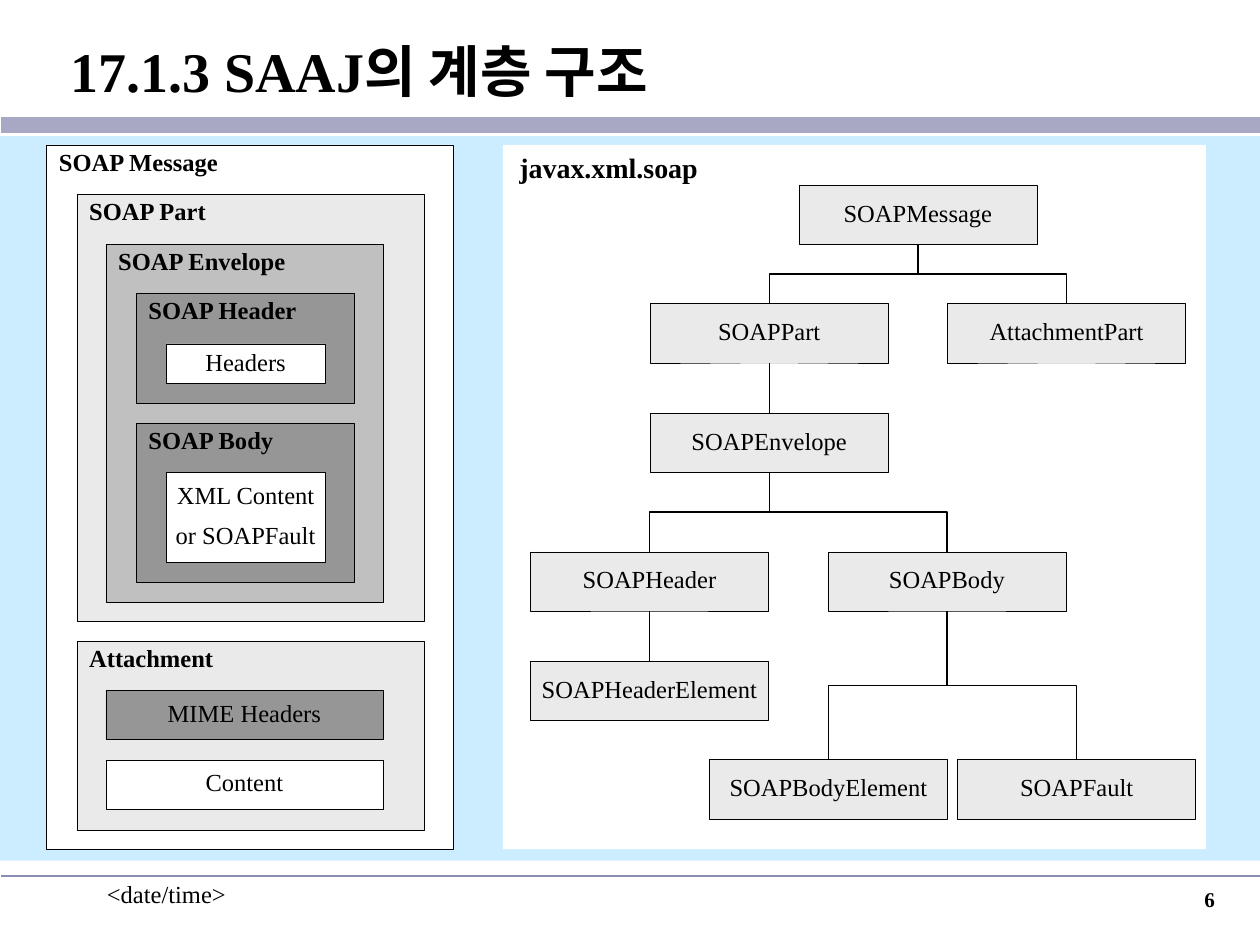
from dataclasses import dataclass

from lxml import etree
from pptx import Presentation
from pptx.dml.color import RGBColor
from pptx.enum.shapes import MSO_CONNECTOR, MSO_SHAPE
from pptx.enum.text import MSO_ANCHOR, PP_ALIGN
from pptx.oxml.ns import qn
from pptx.util import Inches, Pt

RECTANGLE = MSO_SHAPE.RECTANGLE
STRAIGHT, ELBOW = MSO_CONNECTOR.STRAIGHT, MSO_CONNECTOR.ELBOW
LEFT, CENTER, RIGHT = PP_ALIGN.LEFT, PP_ALIGN.CENTER, PP_ALIGN.RIGHT
TOP, MIDDLE = MSO_ANCHOR.TOP, MSO_ANCHOR.MIDDLE
BOTTOM_SITE, TOP_SITE = 2, 0


@dataclass(frozen=True)
class Theme:
    font: str = "Times New Roman"
    ink: str = "000000"
    white: str = "FFFFFF"
    band: str = "CCECFF"
    title_rule: str = "A8A8C4"
    footer_rule: str = "8C8CB2"
    light: str = "EAEAEA"
    medium: str = "C0C0C0"
    dark: str = "969696"
    title_size: float = 32
    package_size: float = 16
    body_size: float = 14
    number_size: float = 12
    line_spacing: float = 0.85
    paragraph_gap: float = 8.8
    outline: float = 0.25
    connector: float = 0.75


THEME = Theme()

CONTAINERS = [
    ("SOAP Message", 0.37, 1.15, 3.23, 5.59, THEME.white),
    ("SOAP Part", 0.61, 1.54, 2.76, 3.39, THEME.light),
    ("SOAP Envelope", 0.84, 1.94, 2.2, 2.84, THEME.medium),
    ("SOAP Header", 1.08, 2.33, 1.73, 0.87, THEME.dark),
    ("SOAP Body", 1.08, 3.36, 1.73, 1.26, THEME.dark),
    ("Attachment", 0.61, 5.09, 2.76, 1.5, THEME.light),
]
CONTENTS = [
    ("Headers", 1.32, 2.73, 1.26, 0.31, THEME.white),
    ("XML Content\nor SOAPFault", 1.32, 3.75, 1.26, 0.71, THEME.white),
    ("MIME Headers", 0.84, 5.48, 2.2, 0.39, THEME.dark),
    ("Content", 0.84, 6.03, 2.2, 0.39, THEME.white),
]
CLASS_WIDTH, CLASS_HEIGHT = 1.89, 0.47
CLASSES = [
    ("SOAPMessage", None, 6.34, 1.47),
    ("SOAPPart", "SOAPMessage", 5.16, 2.41),
    ("AttachmentPart", "SOAPMessage", 7.52, 2.41),
    ("SOAPEnvelope", "SOAPPart", 5.16, 3.28),
    ("SOAPHeader", "SOAPEnvelope", 4.21, 4.38),
    ("SOAPBody", "SOAPEnvelope", 6.57, 4.38),
    ("SOAPHeaderElement", "SOAPHeader", 4.21, 5.25),
    ("SOAPBodyElement", "SOAPBody", 5.63, 6.03),
    ("SOAPFault", "SOAPBody", 7.6, 6.03),
]


def color(value):
    return RGBColor.from_string(value)


def write_text(shape, text, size=THEME.body_size, bold=False, align=LEFT,
               anchor=TOP, wrap=False, spacing=None):
    text_frame = shape.text_frame
    text_frame.text = text
    text_frame.word_wrap = wrap
    text_frame.vertical_anchor = anchor
    for index, paragraph in enumerate(text_frame.paragraphs):
        paragraph.alignment = align
        paragraph.line_spacing = spacing
        if index:
            paragraph.space_before = Pt(THEME.paragraph_gap)
        for run in paragraph.runs:
            run.font.name = THEME.font
            run.font.size = Pt(size)
            run.font.bold = bold
            run.font.color.rgb = color(THEME.ink)


def add_label(slide, text, left, top, width, height, **style):
    box = slide.shapes.add_textbox(
        Inches(left), Inches(top), Inches(width), Inches(height))
    write_text(box, text, **style)


def add_panel(slide, left, top, width, height, fill):
    shape = slide.shapes.add_shape(
        RECTANGLE, Inches(left), Inches(top), Inches(width), Inches(height))
    shape.shadow.inherit = False
    shape.fill.solid()
    shape.fill.fore_color.rgb = color(fill)
    shape.line.fill.background()
    return shape


def add_box(slide, text, left, top, width, height, fill, **style):
    shape = add_panel(slide, left, top, width, height, fill)
    shape.line.color.rgb = color(THEME.ink)
    shape.line.width = Pt(THEME.outline)
    write_text(shape, text, spacing=THEME.line_spacing, **style)
    return shape


def style_line(connector, line_color, width):
    connector.line.color.rgb = color(line_color)
    connector.line.width = Pt(width)
    etree.SubElement(connector._element.spPr, qn("a:effectLst"))


def add_rule(slide, top, line_color, width):
    rule = slide.shapes.add_connector(
        STRAIGHT, Inches(0.01), Inches(top), Inches(10), Inches(top))
    style_line(rule, line_color, width)


def turn_downward(connector):
    across = connector.end_x - connector.begin_x
    down = connector.end_y - connector.begin_y
    center_x = (connector.begin_x + connector.end_x) // 2
    center_y = (connector.begin_y + connector.end_y) // 2
    connector.width, connector.height = down, abs(across)
    connector.left = center_x - down // 2
    connector.top = center_y - abs(across) // 2
    transform = connector._element.spPr.find(qn("a:xfrm"))
    transform.set("rot", str((270 if across > 0 else 90) * 60000))
    transform.set("flipH", "1" if across > 0 else "0")


def connect(slide, parent, child):
    aligned = parent.left == child.left
    connector = slide.shapes.add_connector(
        STRAIGHT if aligned else ELBOW, 0, 0, 0, 0)
    connector.begin_connect(parent, BOTTOM_SITE)
    connector.end_connect(child, TOP_SITE)
    if not aligned:
        turn_downward(connector)
    style_line(connector, THEME.ink, THEME.connector)


def add_message_structure(slide):
    for container in CONTAINERS:
        add_box(slide, *container, bold=True)
    for content in CONTENTS:
        add_box(slide, *content, align=CENTER, anchor=MIDDLE)


def add_class_tree(slide):
    boxes = {}
    for name, parent, left, top in CLASSES:
        boxes[name] = add_box(slide, name, left, top, CLASS_WIDTH, CLASS_HEIGHT,
                              THEME.light, align=CENTER, anchor=MIDDLE)
        if parent:
            connect(slide, boxes[parent], boxes[name])


def main():
    presentation = Presentation()
    presentation.slide_width = Inches(10)
    presentation.slide_height = Inches(7.5)
    slide = presentation.slides.add_slide(presentation.slide_layouts[6])

    add_rule(slide, 0.99, THEME.title_rule, 9.25)
    add_rule(slide, 6.95, THEME.footer_rule, 1)
    add_panel(slide, 0, 1.08, 10, 5.75, THEME.band)
    add_panel(slide, 3.99, 1.15, 5.58, 5.59, THEME.white)
    add_label(slide, "17.1.3 SAAJ의 계층 구조", 0.46, 0.11, 9.54, 0.9,
              size=THEME.title_size, bold=True, anchor=MIDDLE, wrap=True)
    add_message_structure(slide)
    add_class_tree(slide)
    add_label(slide, "javax.xml.soap", 4.02, 1.19, 1.62, 0.33,
              size=THEME.package_size, bold=True, align=CENTER,
              spacing=THEME.line_spacing)
    add_label(slide, "<date/time>", 0.75, 6.93, 2.08, 0.5, wrap=True)
    add_label(slide, "6", 7.66, 6.99, 2.08, 0.5, size=THEME.number_size,
              bold=True, align=RIGHT, wrap=True)
    presentation.save("out.pptx")


if __name__ == "__main__":
    main()
